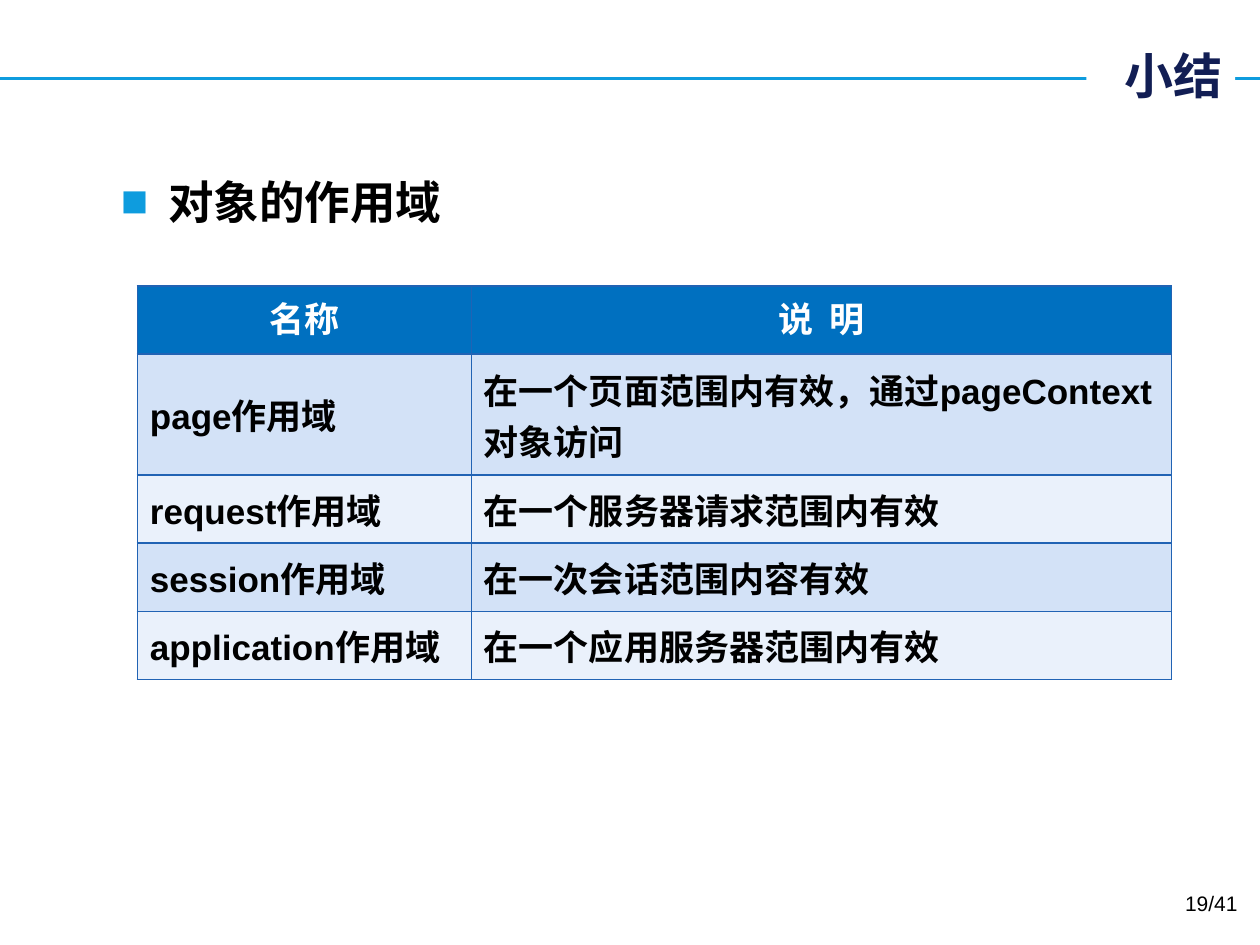
"""Build the summary slide on object scopes."""
from lxml import etree
from pptx import Presentation
from pptx.dml.color import RGBColor
from pptx.enum.shapes import MSO_CONNECTOR, MSO_SHAPE
from pptx.enum.text import MSO_ANCHOR, MSO_AUTO_SIZE, PP_ALIGN
from pptx.oxml.ns import qn
from pptx.util import Pt

LEFT, CENTER, RIGHT = PP_ALIGN.LEFT, PP_ALIGN.CENTER, PP_ALIGN.RIGHT
TOP, MIDDLE = MSO_ANCHOR.TOP, MSO_ANCHOR.MIDDLE
GROW = MSO_AUTO_SIZE.SHAPE_TO_FIT_TEXT
RECT, LINE = MSO_SHAPE.RECTANGLE, MSO_CONNECTOR.STRAIGHT

TITLE = "小结"
TOPIC = "对象的作用域"
PAGE = "19/41"
ROWS = [
    ("名称", "说  明"),
    ("page作用域", "在一个页面范围内有效，通过pageContext对象访问"),
    ("request作用域", "在一个服务器请求范围内有效"),
    ("session作用域", "在一次会话范围内容有效"),
    ("application作用域", "在一个应用服务器范围内有效"),
]
COLORS = {
    "rule": "0E9CDE", "title": "121E54", "text": "000000", "white": "FFFFFF",
    "head": "0070C0", "odd": "D3E2F7", "even": "EAF1FB", "border": "2163B4",
}
LATIN, HAN = "Arial", "Noto Sans CJK SC"
WIDTH, HEIGHT = 720, 540
RULE_Y = 44.9
WIDTHS = (190.8, 400.3)
HEIGHTS = (39, 69, 39, 39, 39)


def rgb(name):
    return RGBColor.from_string(COLORS[name])


def add(parent, tag, **attrs):
    return etree.SubElement(parent, qn(tag), attrs)


def write(frame, text, size, color, font=LATIN, bold=True, align=LEFT):
    frame.text = text
    para = frame.paragraphs[0]
    para.alignment = align
    run = para.runs[0]
    run.font.size = Pt(size)
    run.font.bold = bold
    run.font.name = font
    run.font.color.rgb = rgb(color)
    add(run.font._element, "a:ea", typeface=HAN)
    return para


def space(para):
    props = para._p.get_or_add_pPr()
    add(add(props, "a:spcBef"), "a:spcPct", val="20000")
    return props


def add_box(slide, left, top, width, height):
    box = slide.shapes.add_textbox(Pt(left), Pt(top), Pt(width), Pt(height))
    box.text_frame.word_wrap = True
    return box.text_frame


def add_head(slide):
    rule = slide.shapes.add_connector(LINE, Pt(0), Pt(RULE_Y), Pt(WIDTH), Pt(RULE_Y))
    rule.line.color.rgb = rgb("rule")
    rule.line.width = Pt(2.25)
    add(rule._element.spPr, "a:effectLst")
    plate = slide.shapes.add_shape(RECT, Pt(620.8), Pt(22.4), Pt(85), Pt(41))
    plate.shadow.inherit = False
    plate.fill.solid()
    plate.fill.fore_color.rgb = rgb("white")
    plate.line.fill.background()
    frame = plate.text_frame
    frame.word_wrap = True
    frame.auto_size = GROW
    frame.vertical_anchor = MIDDLE
    write(frame, TITLE, 28, "title", HAN, align=RIGHT)


def add_topic(slide):
    props = space(write(add_box(slide, 62, 95.8, 602, 404.6), TOPIC, 26, "text"))
    props.set("marL", str(Pt(27)))
    props.set("indent", str(Pt(-27)))
    add(add(props, "a:buClr"), "a:srgbClr", val=COLORS["rule"])
    add(props, "a:buFont", typeface=LATIN)
    add(props, "a:buChar", char="■")


def add_borders(cell):
    props = cell._tc.get_or_add_tcPr()
    for side in "LRTB":
        edge = add(props, f"a:ln{side}", w=str(Pt(1)))
        add(add(edge, "a:solidFill"), "a:srgbClr", val=COLORS["border"])


def add_scopes(slide):
    table = slide.shapes.add_table(
        len(ROWS), len(WIDTHS), Pt(78.5), Pt(163.4),
        Pt(sum(WIDTHS)), Pt(sum(HEIGHTS))).table
    for col, width in zip(table.columns, WIDTHS):
        col.width = Pt(width)
    for i, (row, height) in enumerate(zip(ROWS, HEIGHTS)):
        table.rows[i].height = Pt(height)
        head = i == 0
        fill = "head" if head else "odd" if i % 2 else "even"
        for j, text in enumerate(row):
            cell = table.cell(i, j)
            add_borders(cell)
            cell.fill.solid()
            cell.fill.fore_color.rgb = rgb(fill)
            cell.vertical_anchor = TOP if head else MIDDLE
            space(write(cell.text_frame, text, 20, "white" if head else "text",
                        HAN if head else LATIN, align=CENTER if head else LEFT))


def main():
    deck = Presentation()
    deck.slide_width, deck.slide_height = Pt(WIDTH), Pt(HEIGHT)
    slide = deck.slides.add_slide(deck.slide_layouts[6])
    add_head(slide)
    add_topic(slide)
    add_scopes(slide)
    write(add_box(slide, 546.5, 505.5, 167.8, 28.8), PAGE, 12, "text",
          bold=False, align=RIGHT)
    deck.save("out.pptx")


if __name__ == "__main__":
    main()
